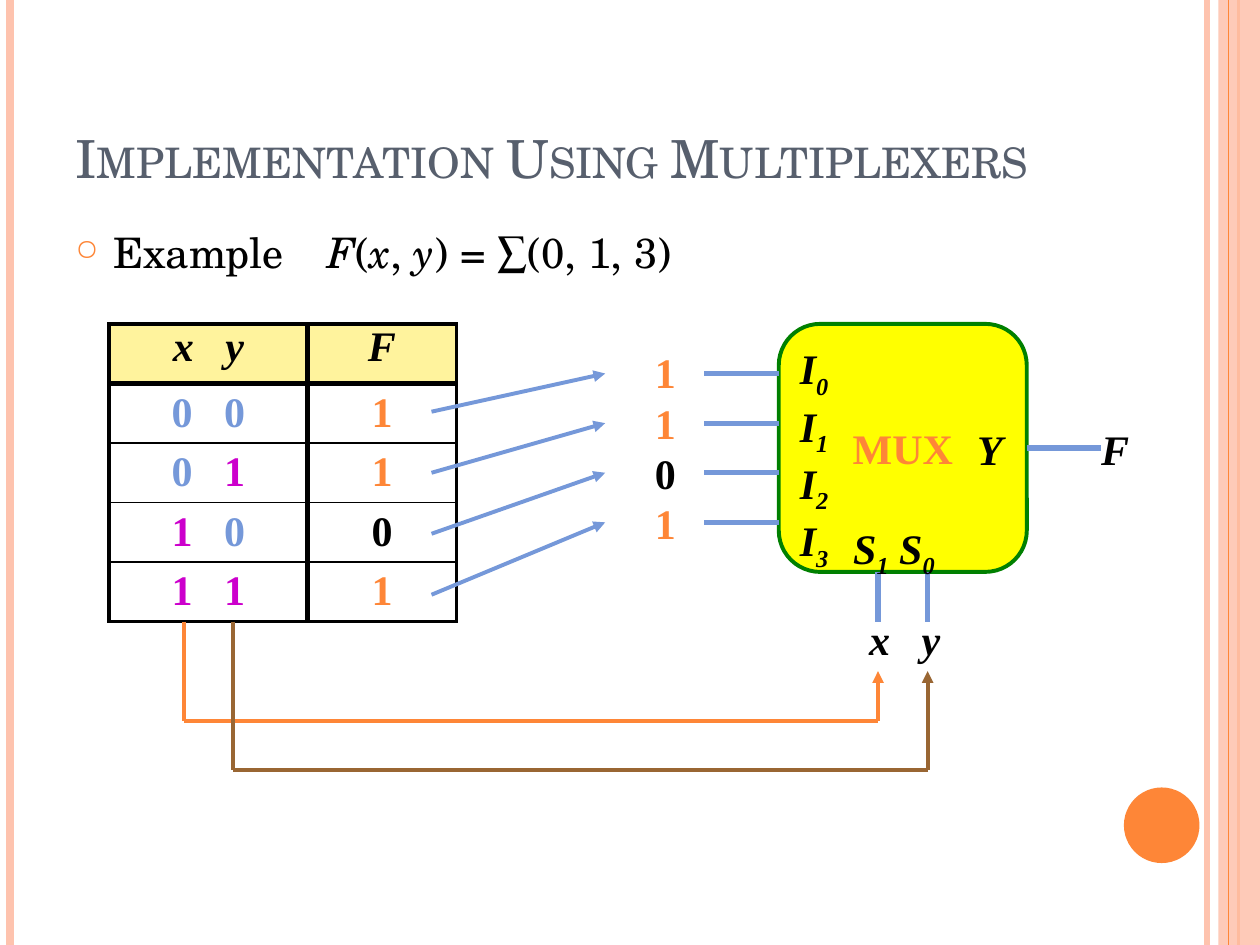
from lxml import etree
from pptx import Presentation
from pptx.dml.color import RGBColor
from pptx.enum.shapes import MSO_CONNECTOR as CONN, MSO_SHAPE as SHAPE
from pptx.enum.text import MSO_ANCHOR as ANCHOR, PP_ALIGN as ALIGN
from pptx.oxml.ns import qn
from pptx.util import Cm, Inches, Pt

ORANGE = RGBColor(0xFE, 0x86, 0x37)
PEACH = RGBColor(0xFE, 0xC3, 0xAE)
BLUE = RGBColor(0x75, 0x98, 0xD9)
SLATE = RGBColor(0x57, 0x5F, 0x6D)
MAGENTA = RGBColor(0xCC, 0x00, 0xCC)
BROWN = RGBColor(0x99, 0x66, 0x33)
GREEN = RGBColor(0x00, 0x80, 0x00)
YELLOW = RGBColor(0xFF, 0xFF, 0x00)
CREAM = RGBColor(0xFF, 0xF3, 0x9D)
BLACK = RGBColor(0, 0, 0)

SERIF, TIMES = "TeX Gyre Schola", "Times New Roman"
VAR = {"italic": True}      # a variable name
SUB = {"italic": True, "sub": True}


# The diagram sits on a grid of 1 cm squares
def gx(col):
    return Cm(0.7 + col)


def gy(row):
    return Cm(0.53 + row)


def add_runs(p, runs, font=TIMES, size=24, bold=True):
    for text, fmt in runs:
        r = p.add_run()
        r.text = text
        values = {"name": font, "size": Pt(size), "bold": bold, "italic": fmt.get("italic", False)}
        for key, value in values.items():
            setattr(r.font, key, value)
        r.font.color.rgb = fmt.get("color", BLACK)
        if fmt.get("sub"):
            r.font._element.set("baseline", "-25000")


def fill_text(tf, paragraphs, align=ALIGN.LEFT, **font):
    for side in ("left", "top", "right", "bottom"):
        setattr(tf, f"margin_{side}", 0)
    for i, runs in enumerate(paragraphs):
        p = tf.paragraphs[0] if i == 0 else tf.add_paragraph()
        p.alignment = align
        add_runs(p, runs, **font)


def label(s, col, row, width, height, paragraphs, align=ALIGN.LEFT):
    tf = s.shapes.add_textbox(gx(col), gy(row), Cm(width), Cm(height)).text_frame
    tf.word_wrap = True
    fill_text(tf, paragraphs, align)


def line(s, x1, y1, x2, y2, color, width, arrow=False):
    c = s.shapes.add_connector(CONN.STRAIGHT, x1, y1, x2, y2)
    c.line.color.rgb = color
    c.line.width = Pt(width)
    if arrow:
        etree.SubElement(c.line._get_or_add_ln(), qn("a:tailEnd"), type="triangle")
    etree.SubElement(c._element.spPr, qn("a:effectLst"))


def wire(s, points, color, width, arrow=False):
    """Join grid points with straight lines; the last may carry an arrowhead."""
    for i, (a, b) in enumerate(zip(points, points[1:]), 2):
        line(s, gx(a[0]), gy(a[1]), gx(b[0]), gy(b[1]), color, width, arrow and i == len(points))


def shape(s, kind, x, y, w, h, fill):
    sp = s.shapes.add_shape(kind, x, y, w, h)
    sp.shadow.inherit = False
    sp.fill.solid()
    sp.fill.fore_color.rgb = fill
    sp.line.fill.background()
    return sp


def set_alpha(fill, percent):
    color = fill._xPr.find(qn("a:solidFill"))[0]
    etree.SubElement(color, qn("a:alpha"), val=str(percent * 1000))


def frame(s, w, h):
    """Stripes at both edges and the page disc."""
    def stripe(x, color, width):
        line(s, Inches(x), 0, Inches(x), h, color, width)
    stripe(9.58, PEACH, 3)
    stripe(0.08, PEACH, 4.5)
    stripe(9.83, ORANGE, 1.5)
    band = shape(s, SHAPE.RECTANGLE, Inches(9.67), 0, w - Inches(9.67), h, PEACH)
    set_alpha(band.fill, 87)
    stripe(9.75, ORANGE, 0.75)
    shape(s, SHAPE.OVAL, Inches(8.92), Inches(6.25), Inches(0.6), Inches(0.6), ORANGE)


def heading(s, x, y, w):
    """Title above one bulleted line."""
    tf = s.shapes.add_textbox(x, y, w, Inches(1.25)).text_frame
    tf.word_wrap = True
    tf.vertical_anchor = ANCHOR.BOTTOM
    p = tf.paragraphs[0]
    add_runs(p, [("Implementation Using Multiplexers", {"color": SLATE})], SERIF, 30, False)
    p.runs[0].font._element.set("cap", "small")

    tf = s.shapes.add_textbox(x, y + Inches(1.45), w, Inches(5.33)).text_frame
    tf.word_wrap = True
    p = tf.paragraphs[0]
    p.space_before = Pt(6)
    add_runs(p, [("Example\t", {}), ("F", VAR), ("(", {}), ("x", VAR), (", ", {}),
                 ("y", VAR), (") = ∑(0, 1, 3)", {})], SERIF, 24, False)
    pPr = p._p.get_or_add_pPr()
    pPr.set("marL", str(Inches(0.3)))
    pPr.set("indent", str(-Inches(0.3)))
    color = etree.SubElement(pPr, qn("a:buClr"))
    etree.SubElement(color, qn("a:srgbClr"), val=str(ORANGE))
    etree.SubElement(pPr, qn("a:buSzPct"), val="70000")
    etree.SubElement(pPr, qn("a:buChar"), char="○")


def bit(text):
    return text, {"color": MAGENTA if "1" in text else BLUE}


def output(value):
    return value, {"color": ORANGE if value == "1" else BLACK}


def set_borders(cell, widths):
    tcPr = cell._tc.get_or_add_tcPr()
    for i, (side, width) in enumerate(zip("LRTB", widths)):
        ln = etree.Element(qn(f"a:ln{side}"), w=str(Pt(width)))
        fill = etree.SubElement(ln, qn("a:solidFill"))
        etree.SubElement(fill, qn("a:srgbClr"), val=str(BLACK))
        tcPr.insert(i, ln)


def truth_table(s, col, row, outputs):
    n = len(outputs) + 1
    table = s.shapes.add_table(n, 2, gx(col), gy(row), Cm(7), Cm(1.2 * n)).table
    table.columns[0].width, table.columns[1].width = Cm(4), Cm(3)
    rows = [([("x   y", VAR)], [("F", VAR)])]
    for i, value in enumerate(outputs):
        x, y = f"{i:02b}"
        rows.append(([bit(x), bit("   " + y)], [output(value)]))
    across = [2.25, 3, 2.25]
    down = [2.25, 3] + [1] * (n - 2) + [2.25]
    for i, cells in enumerate(rows):
        table.rows[i].height = Cm(1.2)
        for j, runs in enumerate(cells):
            cell = table.cell(i, j)
            fill_text(cell, [], ALIGN.CENTER)
            fill_text(cell.text_frame, [runs], ALIGN.CENTER)
            for side in ("left", "top", "right", "bottom"):
                setattr(cell, f"margin_{side}", 0)
            if i == 0:
                cell.fill.solid()
                cell.fill.fore_color.rgb = CREAM
            else:
                cell.fill.background()
                cell.vertical_anchor = ANCHOR.MIDDLE
            set_borders(cell, across[j:j + 2] + down[i:i + 2])


def multiplexer(s, col, row, side):
    sp = shape(s, SHAPE.ROUNDED_RECTANGLE, gx(col), gy(row), Cm(side), Cm(side), YELLOW)
    sp.line.color.rgb = GREEN
    sp.line.width = Pt(2.25)
    sp.text_frame.word_wrap = False
    sp.text_frame.vertical_anchor = ANCHOR.MIDDLE
    fill_text(sp.text_frame, [[("MUX", {"color": ORANGE})]], ALIGN.CENTER)
    # Pins: four inputs, two selectors, one output
    for i in range(4):
        wire(s, [(col - 1.5, row + 1 + i), (col, row + 1 + i)], BLUE, 3)
    for x in (col + 2, col + 3):
        wire(s, [(x, row + side + 1), (x, row + side)], BLUE, 3)
    wire(s, [(col + side, row + side / 2), (col + side + 1.5, row + side / 2)], BLUE, 3)
    # Pin names
    inputs = [[("I", VAR), (str(i), SUB)] for i in range(4)]
    label(s, col, row + 0.38, 1, 4.06, inputs, ALIGN.RIGHT)
    label(s, col + 1.5, row + 4, 2.5, 1, [[("S", VAR), ("1", SUB), (" S", VAR), ("0", SUB)]])
    label(s, col + 4, row + 2, 1, 1, [[("Y", VAR)]])
    label(s, col + 6.5, row + 2, 1.5, 1, [[("F", VAR)]])
    label(s, col + 1.6, row + 5.83, 1.88, 1, [[("x   y", VAR)]], ALIGN.CENTER)


def connections(s, outputs):
    """Table outputs to the inputs, table variables to the selectors."""
    for i in range(len(outputs)):
        wire(s, [(8, 7.77 + 1.23 * i), (11.5, 7 + i)], BLUE, 2.25, True)
    label(s, 12.5, 6.46, 0.81, 4.06, [[output(v)] for v in outputs])
    for i, color in enumerate((ORANGE, BROWN)):
        left, right, low = 3 + i, 17 + i, 14 + i
        wire(s, [(left, 12), (left, low), (right, low), (right, 13)], color, 2.25, True)


def main():
    prs = Presentation()
    prs.slide_width, prs.slide_height = Inches(10), Inches(7.5)
    s = prs.slides.add_slide(prs.slide_layouts[6])
    outputs = "1101"
    frame(s, prs.slide_width, prs.slide_height)
    heading(s, Inches(0.5), Inches(0.3), Inches(8.42))
    multiplexer(s, 15, 6, 5)
    truth_table(s, 1.5, 6, outputs)
    connections(s, outputs)
    prs.save("out.pptx")


if __name__ == "__main__":
    main()
